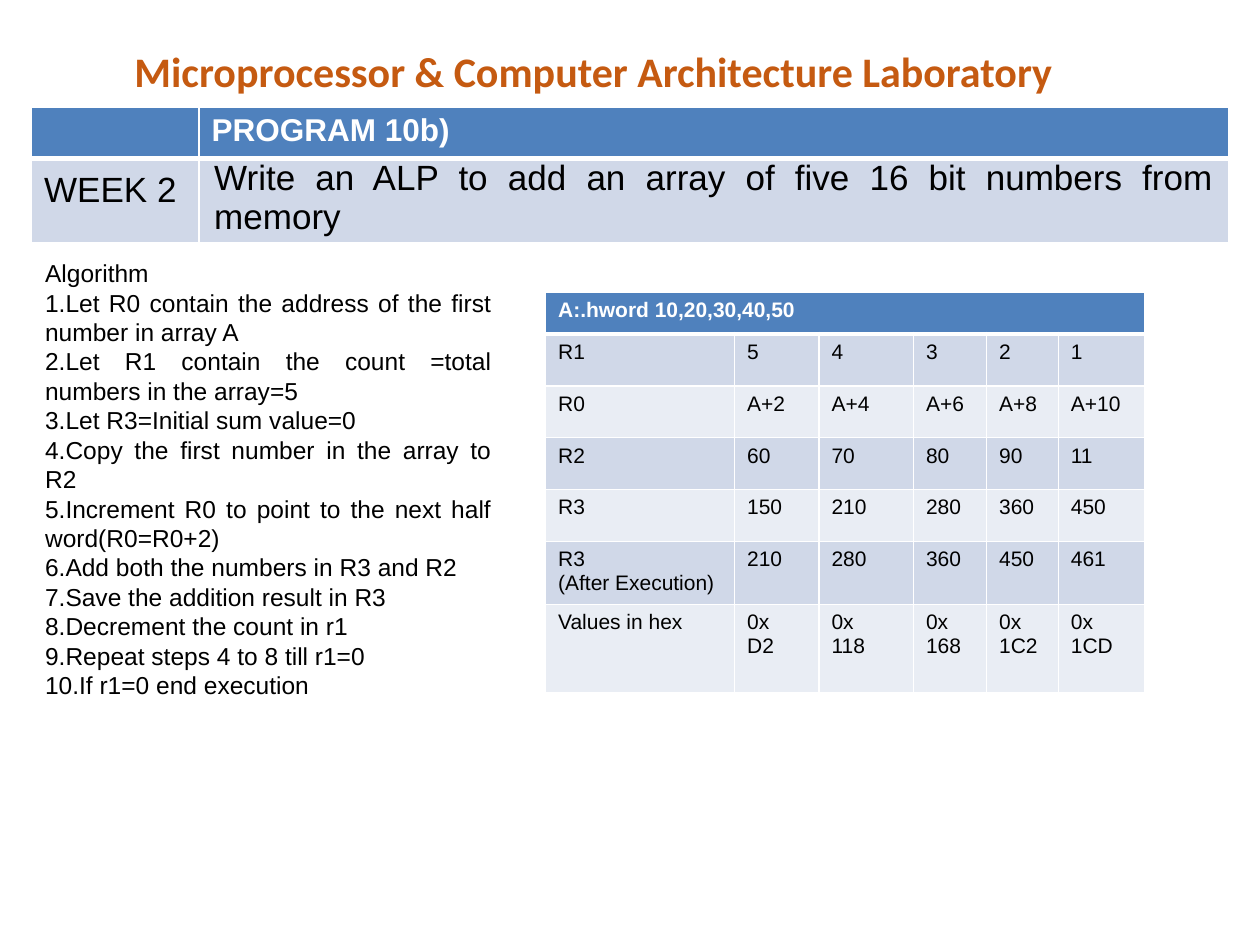
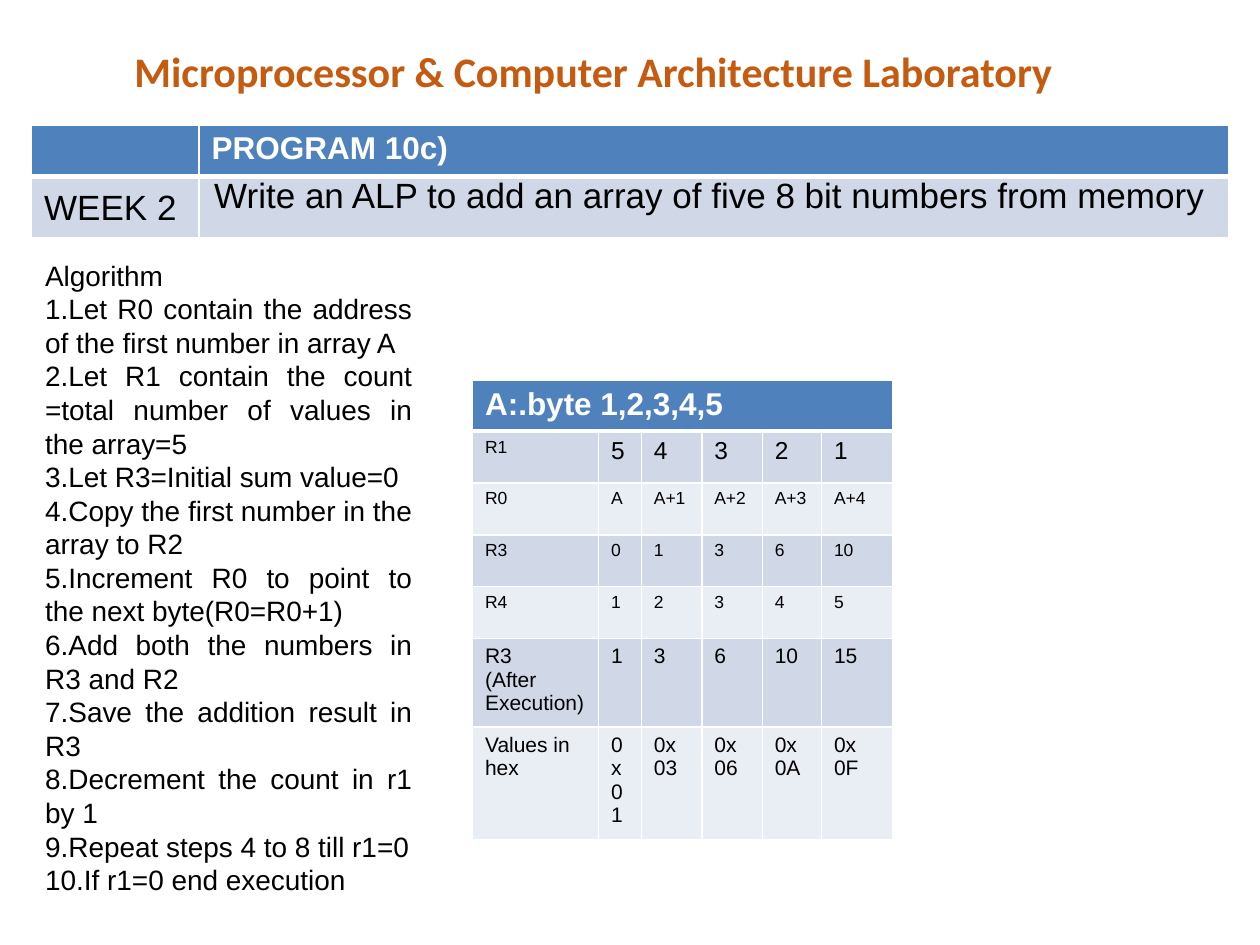
from lxml.etree import SubElement
from pptx import Presentation
from pptx.dml.color import RGBColor
from pptx.enum.text import MSO_ANCHOR as Anchor, MSO_AUTO_SIZE as AutoSize, PP_ALIGN as Align
from pptx.oxml.ns import qn
from pptx.util import Inches, Pt

SLIDE_WIDTH, SLIDE_HEIGHT = Inches(10), Inches(7.5)
GRID_COLUMNS = 100
COLORS = {
    "title": "C55A11",
    "header": "4F81BD",
    "band_dark": "D0D8E8",
    "band_light": "E9EDF4",
    "light": "FFFFFF",
    "ink": "000000",
}
TITLE = "Microprocessor & Computer Architecture Laboratory"
BANNER_COLUMNS = [13.3, 81.7]
REGISTER_ROW = 4.12


def grid(cells):
    return round(SLIDE_WIDTH * cells / GRID_COLUMNS)


def color(name):
    return RGBColor.from_string(COLORS[name])


def write(frame, lines, size, ink="ink", bold=False, align=Align.LEFT, font="Arial", spacing=None):
    for index, line in enumerate(lines):
        paragraph = frame.add_paragraph() if index else frame.paragraphs[0]
        paragraph.alignment = align
        if spacing:
            paragraph.line_spacing = spacing
        run = paragraph.add_run()
        run.text = line
        run.font.name = font
        run.font.size = Pt(size)
        run.font.bold = bold
        run.font.color.rgb = color(ink)


def add_text(slide, box, lines, size, anchor=Anchor.TOP, **style):
    frame = slide.shapes.add_textbox(*map(grid, box)).text_frame
    frame.word_wrap = True
    frame.auto_size = AutoSize.SHAPE_TO_FIT_TEXT
    frame.vertical_anchor = anchor
    write(frame, lines, size, **style)


def border_cell(cell, top, bottom):
    properties = cell._tc.get_or_add_tcPr()
    for side, width in (("L", 1), ("R", 1), ("T", top), ("B", bottom)):
        line = SubElement(properties, qn(f"a:ln{side}"), w=str(Pt(width)))
        fill = SubElement(line, qn("a:solidFill"))
        SubElement(fill, qn("a:srgbClr"), val=COLORS["light"])


def add_banded_table(slide, left, top, widths, heights):
    frame = slide.shapes.add_table(
        len(heights), len(widths), grid(left), grid(top), grid(sum(widths)), grid(sum(heights))
    )
    table = frame.table
    for column, width in zip(table.columns, widths):
        column.width = grid(width)
    for index, (row, height) in enumerate(zip(table.rows, heights)):
        row.height = grid(height)
        band = "header" if index == 0 else "band_dark" if index % 2 else "band_light"
        for cell in row.cells:
            border_cell(cell, top=3 if index == 1 else 1, bottom=1 if index else 3)
            cell.fill.solid()
            cell.fill.fore_color.rgb = color(band)
    return table


def add_banner(slide, top, program, task, task_height):
    table = add_banded_table(slide, 2.5, top, BANNER_COLUMNS, [4.1, task_height])
    write(table.cell(0, 1).text_frame, [program], 18, ink="light", bold=True)
    write(table.cell(1, 0).text_frame, ["WEEK 2"], 20, align=Align.JUSTIFY, spacing=1.15)
    task_cell = table.cell(1, 1)
    task_cell.margin_left = task_cell.margin_right = grid(1.2)
    task_cell.margin_top = task_cell.margin_bottom = 0
    write(task_cell.text_frame, [task], 20, align=Align.JUSTIFY)


def add_trace(slide, left, top, widths, heading, heading_size, registers, sums, sizes, heights):
    heading_height, sums_height, hex_height = heights
    rows = registers + [
        ["R3\n(After Execution)", *map(str, sums)],
        ["Values in hex", *(f"0x\n{total:02X}" for total in sums)],
    ]
    row_heights = [heading_height, *[REGISTER_ROW] * len(registers), sums_height, hex_height]
    table = add_banded_table(slide, left, top, widths, row_heights)
    table.cell(0, 0).merge(table.cell(0, len(widths) - 1))
    write(table.cell(0, 0).text_frame, [heading], heading_size, ink="light", bold=True)
    for row_index, (row, (label_size, value_size)) in enumerate(zip(rows, sizes), start=1):
        for column_index, value in enumerate(row):
            size = value_size if column_index else label_size
            write(table.cell(row_index, column_index).text_frame, value.split("\n"), size)


def add_algorithm(slide, width, height, size, count, step, decrement):
    steps = [
        "Let R0 contain the address of the first number in array A",
        f"Let R1 contain the count =total {count} in the array=5",
        "Let R3=Initial sum value=0",
        "Copy the first number in the array to R2",
        f"Increment R0 to point to the next {step}",
        "Add both the numbers in R3 and R2",
        "Save the addition result in R3",
        decrement,
        "Repeat steps 4 to 8 till r1=0",
        "If r1=0 end execution",
    ]
    lines = ["Algorithm"] + [f"{number}.{text}" for number, text in enumerate(steps, start=1)]
    add_text(slide, (2.6, 20, width, height), lines, size, align=Align.JUSTIFY)


def add_program_slide(presentation):
    slide = presentation.slides.add_slide(presentation.slide_layouts[6])
    add_text(slide, (2.5, 3.1, 89.2, 5), [TITLE], 24, anchor=Anchor.MIDDLE,
             ink="title", bold=True, align=Align.CENTER, font="Calibri")
    return slide


def add_half_word_slide(presentation):
    slide = add_program_slide(presentation)
    add_banner(slide, 8.5, "PROGRAM 10b)",
               "Write an ALP to add an array of five 16 bit numbers from memory", 6.6)
    registers = [
        ["R1", "5", "4", "3", "2", "1"],
        ["R0", "A+2", "A+4", "A+6", "A+8", "A+10"],
        ["R2", "60", "70", "80", "90", "11"],
        ["R3", "150", "210", "280", "360", "450"],
    ]
    add_trace(slide, 43.3, 23.2, [15, 6.7, 7.5, 5.8, 5.7, 6.9],
              "A:.hword 10,20,30,40,50", 12, registers, [210, 280, 360, 450, 461],
              sizes=[(12, 12)] * 6, heights=(3.3, 5, 7))
    add_algorithm(slide, 37.4, 41.1, 14, "numbers", "half word(R0=R0+2)",
                  "Decrement the count in r1")


def add_byte_slide(presentation):
    slide = add_program_slide(presentation)
    add_banner(slide, 9.9, "PROGRAM 10c)",
               "Write an ALP to add an array of five 8 bit numbers from memory", 4.8)
    registers = [
        ["R1", "5", "4", "3", "2", "1"],
        ["R0", "A", "A+1", "A+2", "A+3", "A+4"],
        ["R3", "0", "1", "3", "6", "10"],
        ["R4", "1", "2", "3", "4", "5"],
    ]
    add_trace(slide, 37.5, 30.2, [10, 3.4, 4.8, 4.8, 4.7, 5.7],
              "A:.byte 1,2,3,4,5", 18, registers, [1, 3, 6, 10, 15],
              sizes=[(10, 14)] + [(10, 10)] * 3 + [(12, 12)] * 2, heights=(4, 7, 9))
    add_algorithm(slide, 31.1, 57.6, 16, "number of values", "byte(R0=R0+1)",
                  "Decrement the count in r1 by 1")


def main():
    presentation = Presentation()
    presentation.slide_width, presentation.slide_height = SLIDE_WIDTH, SLIDE_HEIGHT
    add_half_word_slide(presentation)
    add_byte_slide(presentation)
    presentation.save("out.pptx")


if __name__ == "__main__":
    main()
